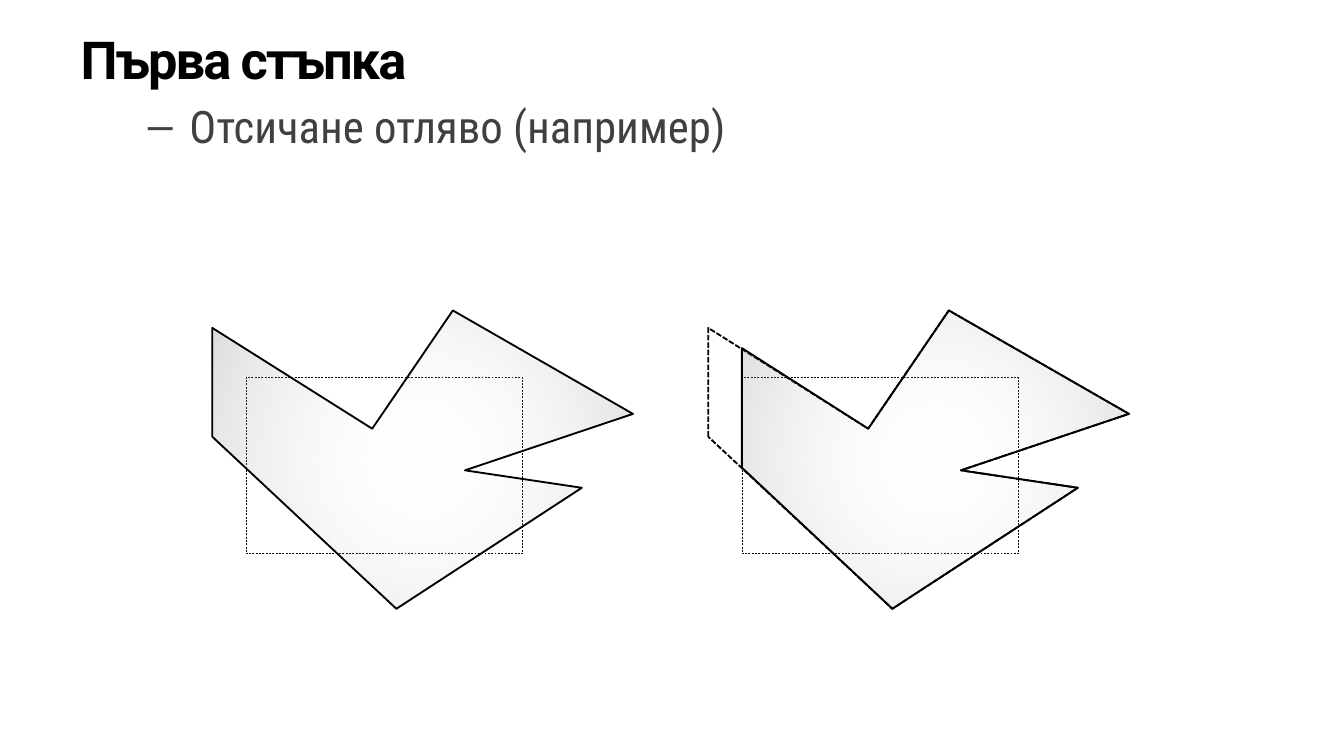
from dataclasses import dataclass
from typing import Optional

from lxml import etree
from pptx import Presentation, util as u
from pptx.dml.color import RGBColor
from pptx.enum import dml, shapes, text
from pptx.oxml import ns, parse_xml

BLACK = "000000"
SHIFT = 3.69  # distance from the left diagram to the right one

GRADIENT = f"""<a:gradFill {ns.nsdecls("a")} rotWithShape="1"><a:gsLst>
<a:gs pos="0"><a:srgbClr val="FFFFFF"><a:alpha val="0"/></a:srgbClr></a:gs>
<a:gs pos="100000"><a:srgbClr val="808080"><a:alpha val="30000"/></a:srgbClr></a:gs>
</a:gsLst><a:path path="circle">
<a:fillToRect l="50000" t="50000" r="50000" b="50000"/></a:path></a:gradFill>"""


@dataclass
class TextLine:
    wording: str
    level: int
    margin: float
    indent: float
    space_before: float
    spacing: int
    bullet: Optional[str]
    color: str
    font: dict


@dataclass
class Polygon:
    points: list
    filled: bool = True
    dash: Optional[int] = None


def rgb(value: str) -> RGBColor:
    return RGBColor.from_string(value)


def style_outline(shape, width: float, dash: Optional[int] = None) -> None:
    shape.shadow.inherit = False
    shape.fill.background()
    shape.line.color.rgb = rgb(BLACK)
    shape.line.width = u.Pt(width)
    if dash is not None:
        shape.line.dash_style = dash


def add_window(slide, left: float) -> None:
    shape = slide.shapes.add_shape(
        shapes.MSO_SHAPE.RECTANGLE,
        u.Inches(left), u.Inches(2.81), u.Inches(2.06), u.Inches(1.31))
    style_outline(shape, 0.25, dml.MSO_LINE.DASH)


def add_polygon(slide, polygon: Polygon) -> None:
    corners = [(u.Inches(x), u.Inches(y)) for x, y in polygon.points]
    builder = slide.shapes.build_freeform(*corners[0])
    builder.add_line_segments(corners[1:], close=True)
    shape = builder.convert_to_shape()
    style_outline(shape, 1, polygon.dash)
    if polygon.filled:
        properties = shape._element.spPr
        no_fill = properties.find(ns.qn("a:noFill"))
        properties.replace(no_fill, parse_xml(GRADIENT))


def write_line(paragraph, line: TextLine) -> None:
    paragraph.level = line.level
    paragraph.space_before = u.Pt(line.space_before)
    properties = paragraph._p.get_or_add_pPr()
    properties.set("marL", str(u.Inches(line.margin)))
    properties.set("indent", str(u.Inches(line.indent)))
    if line.bullet:
        etree.SubElement(properties, ns.qn("a:buChar"), char=line.bullet)
    else:
        etree.SubElement(properties, ns.qn("a:buNone"))
    run = paragraph.add_run()
    run.text = line.wording
    for name, value in line.font.items():
        setattr(run.font, name, value)
    run.font.color.rgb = rgb(line.color)
    run._r.get_or_add_rPr().set("spc", str(line.spacing))


LINES = [
    TextLine("Първа стъпка", 0, 0.38, -0.38, 0, -100, None, BLACK,
             {"name": "Roboto", "size": u.Pt(28), "bold": True}),
    TextLine("Отсичане отляво (например)", 1, 0.81, -0.31, 4.8, 0, "–", "404040",
             {"name": "Roboto Condensed", "size": u.Pt(24), "bold": False}),
]

# Corners of the polygon: the left edge, then the part that clipping keeps
LEFT_EDGE = [(1.58, 3.25), (1.58, 2.44)]
KEPT = [(2.77, 3.19), (3.37, 2.31), (4.71, 3.08),
        (3.46, 3.5), (4.33, 3.63), (2.95, 4.53)]
CLIPPED_EDGE = [(1.83, 3.48), (1.83, 2.59)]


def shifted(points: list) -> list:
    return [(x + SHIFT, y) for x, y in points]


def main() -> None:
    # Widescreen slide, 16 by 9
    presentation = Presentation()
    presentation.slide_width = u.Inches(10)
    presentation.slide_height = u.Inches(10 * 9 / 16)
    slide = presentation.slides.add_slide(presentation.slide_layouts[1])

    # Heading and list share the body placeholder
    title = slide.shapes.title._element
    title.getparent().remove(title)
    body = slide.placeholders[1]
    frame = body.text_frame
    box = {"left": 0.5, "top": 0.15, "width": 9.5, "height": 5.33}
    for name, value in box.items():
        setattr(body, name, u.Inches(value))
    frame.auto_size = text.MSO_AUTO_SIZE.NONE
    frame.vertical_anchor = text.MSO_ANCHOR.TOP
    for index, line in enumerate(LINES):
        paragraph = frame.add_paragraph() if index else frame.paragraphs[0]
        write_line(paragraph, line)

    # Before clipping
    add_window(slide, 1.83)
    add_polygon(slide, Polygon(LEFT_EDGE + KEPT))

    # After clipping on the left
    add_window(slide, 1.83 + SHIFT)
    add_polygon(slide, Polygon(shifted(LEFT_EDGE + KEPT), False,
                               dml.MSO_LINE.SQUARE_DOT))
    add_polygon(slide, Polygon(shifted(CLIPPED_EDGE + KEPT)))

    presentation.save("out.pptx")


if __name__ == "__main__":
    main()
